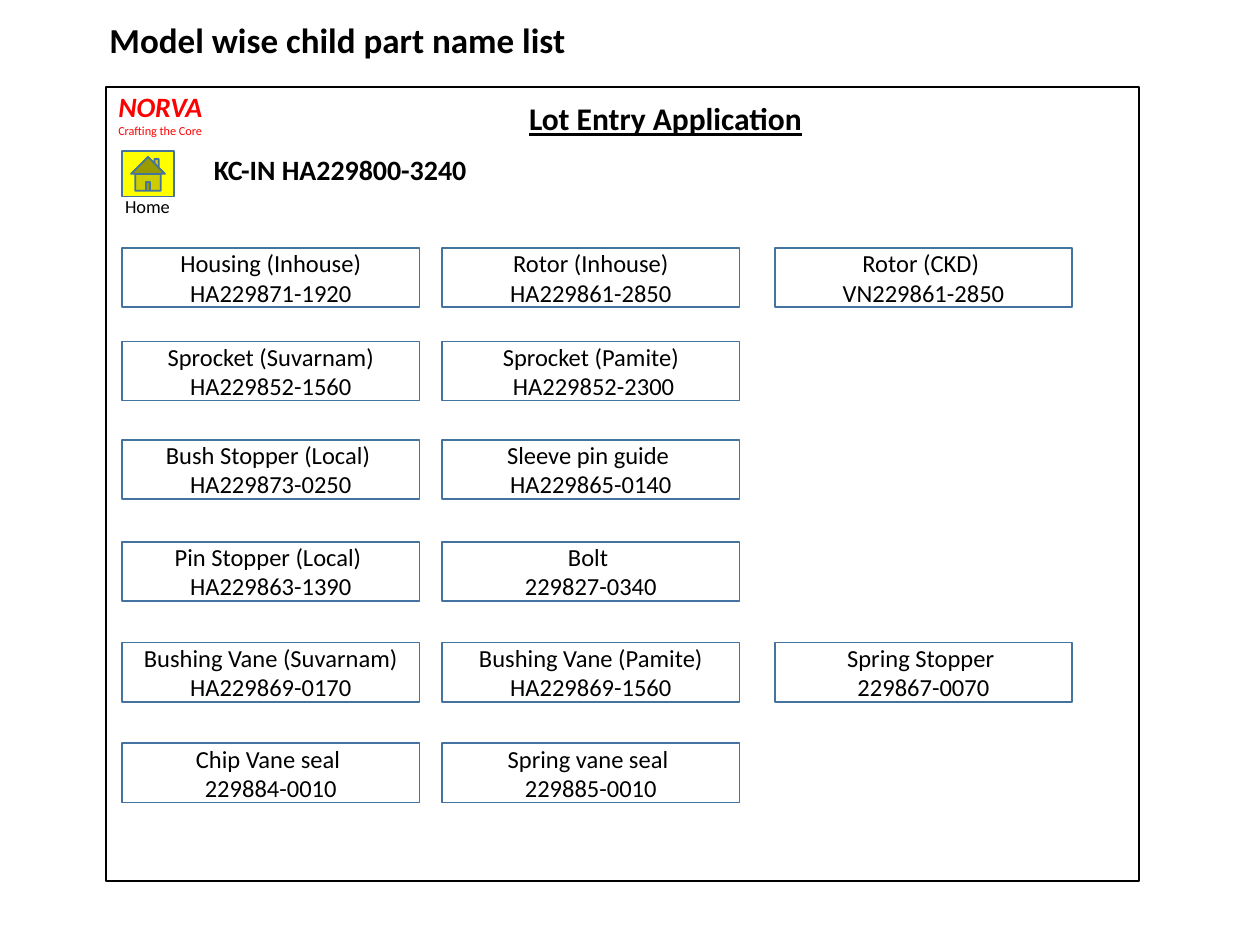
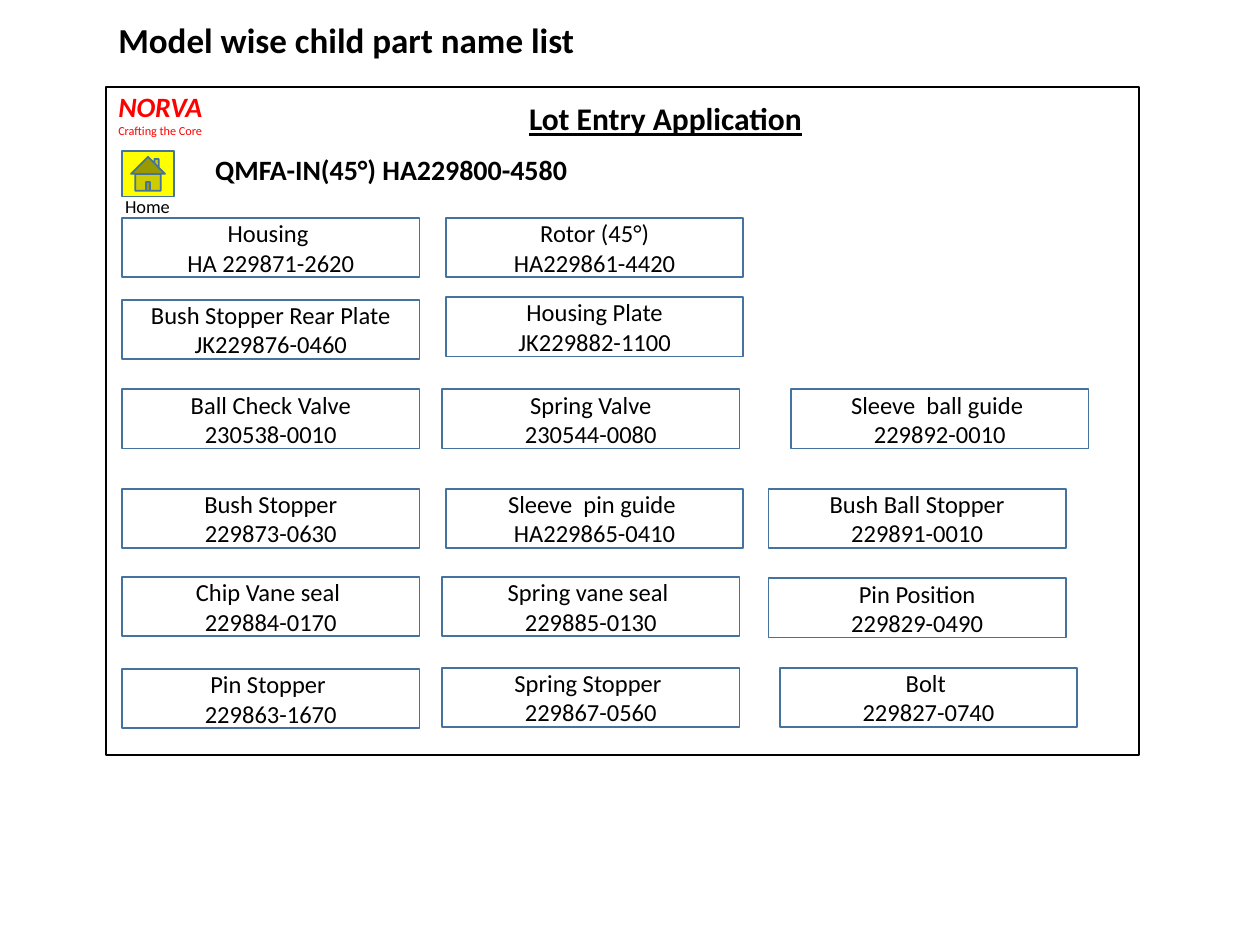
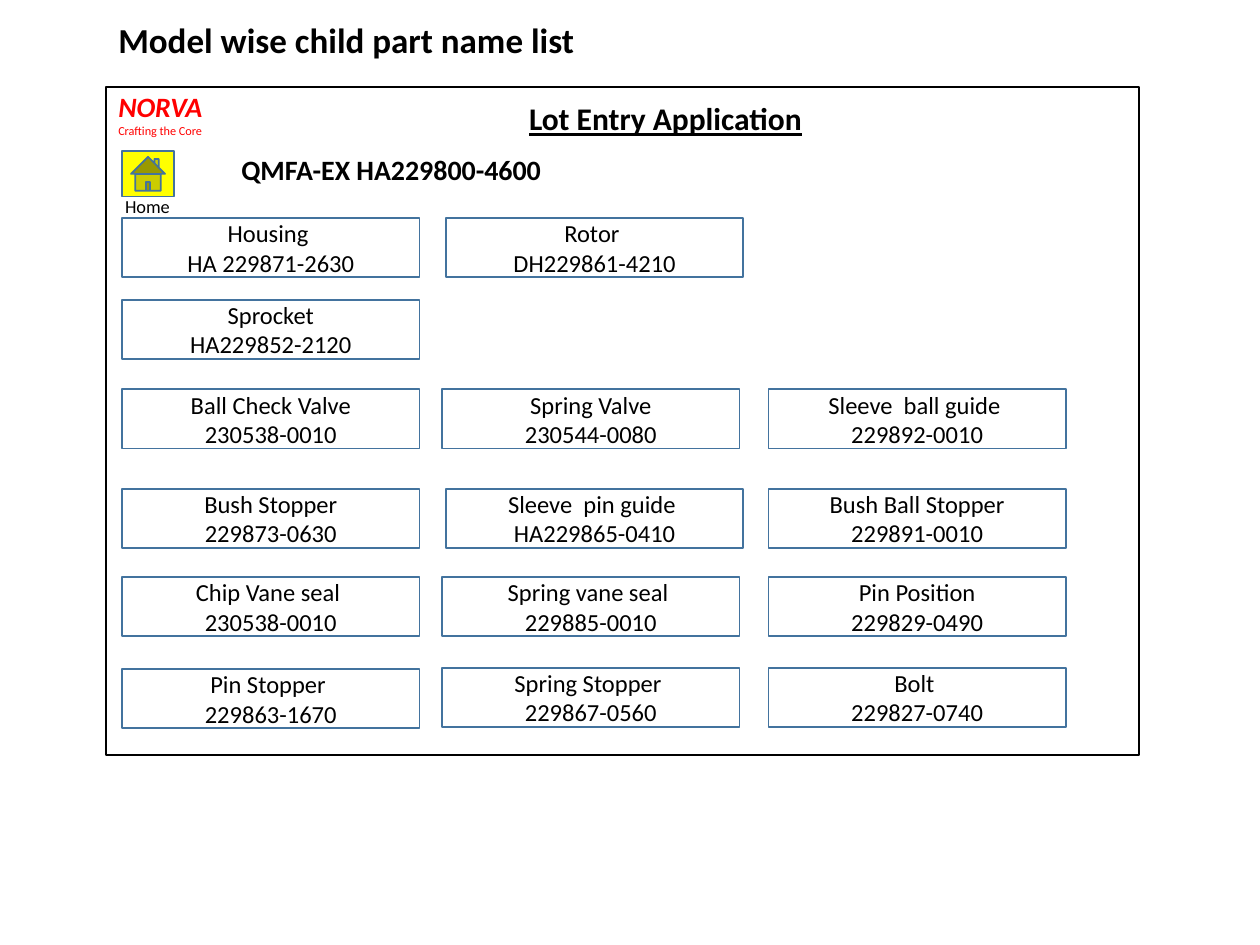
from dataclasses import dataclass

from pptx import Presentation, util as u
from pptx.dml.color import RGBColor
from pptx.enum import shapes, text


@dataclass(frozen=True)
class Theme:
    font: str = "Calibri"
    ink: str = "000000"
    paper: str = "FFFFFF"
    brand: str = "FF0000"
    button: str = "FFFF00"
    outline: str = "43739E"
    heading_size: float = 20
    app_size: float = 18
    model_size: float = 16
    child_size: float = 14
    home_size: float = 10.5
    tagline_size: float = 7
    line_width: float = 1


THEME = Theme()
HEADING = "Model wise child part name list"
APP = "Lot Entry Application"
BRAND = ("NORVA", "Crafting the Core")
CHILD_BOX = (2.36, 0.47)

AIRY = {"columns": (0.97, 3.51, 6.15), "rows": (1.97, 2.71, 3.49, 4.3, 5.1, 5.9),
        "frame_height": 6.3, "heading_left": 0.77}
COMPACT = {"columns": (0.97, 3.51, 6.1), "rows": (1.73, 2.38, 3.09, 3.88, 4.58, 5.3),
           "frame_height": 5.3, "heading_left": 0.84}
COMPACT_SHIFTS = {(0, 1): (0.03, 0), (3, 1): (0.03, 0), (5, 0): (0, 0.01)}

MODELS = [
    {"name": "KC-IN HA229800-3240", "name_width": 2.48, "layout": AIRY, "shifts": {},
     "children": [
         [("Housing (Inhouse)", "HA229871-1920"), ("Rotor (Inhouse)", "HA229861-2850"),
          ("Rotor (CKD) ", "VN229861-2850")],
         [("Sprocket (Suvarnam)", "HA229852-1560"), ("Sprocket (Pamite)", " HA229852-2300")],
         [("Bush Stopper (Local) ", "HA229873-0250"), ("Sleeve pin guide ", "HA229865-0140")],
         [("Pin Stopper (Local) ", "HA229863-1390"), ("Bolt ", "229827-0340")],
         [("Bushing Vane (Suvarnam)", "HA229869-0170"), ("Bushing Vane (Pamite)", "HA229869-1560"),
          ("Spring Stopper ", "229867-0070")],
         [("Chip Vane seal ", "229884-0010"), ("Spring vane seal ", "229885-0010")],
     ]},
    {"name": "QMFA-IN(45°) HA229800-4580", "name_width": 3.29, "layout": COMPACT,
     "shifts": {**COMPACT_SHIFTS, (1, 1): (0.03, -0.02), (2, 2): (0.18, 0),
                (4, 2): (0, 0.01), (5, 2): (0.09, 0)},
     "children": [
         [("Housing ", "HA 229871-2620"), ("Rotor (45°)", "HA229861-4420")],
         [("Bush Stopper Rear Plate JK229876-0460",), ("Housing Plate", "JK229882-1100")],
         [("Ball Check Valve", "230538-0010"), ("Spring Valve", "230544-0080"),
          ("Sleeve  ball guide ", "229892-0010")],
         [("Bush Stopper", "229873-0630"), ("Sleeve  pin guide ", "HA229865-0410"),
          ("Bush Ball Stopper", "229891-0010")],
         [("Chip Vane seal ", "229884-0170"), ("Spring vane seal ", "229885-0130"),
          ("Pin Position", "229829-0490")],
         [("Pin Stopper ", "229863-1670"), ("Spring Stopper ", "229867-0560"),
          ("Bolt ", "229827-0740")],
     ]},
    {"name": "QMFA-EX HA229800-4600", "name_width": 3.29, "layout": COMPACT,
     "shifts": COMPACT_SHIFTS,
     "children": [
         [("Housing ", "HA 229871-2630"), ("Rotor ", "DH229861-4210")],
         [("Sprocket", "HA229852-2120")],
         [("Ball Check Valve", "230538-0010"), ("Spring Valve", "230544-0080"),
          ("Sleeve  ball guide ", "229892-0010")],
         [("Bush Stopper", "229873-0630"), ("Sleeve  pin guide ", "HA229865-0410"),
          ("Bush Ball Stopper", "229891-0010")],
         [("Chip Vane seal ", "230538-0010"), ("Spring vane seal ", "229885-0010"),
          ("Pin Position", "229829-0490")],
         [("Pin Stopper ", "229863-1670"), ("Spring Stopper ", "229867-0560"),
          ("Bolt ", "229827-0740")],
     ]},
]


def inches(box):
    return [u.Inches(length) for length in box]


def style(paragraph, size, color=THEME.ink, centered=False, bold=False, italic=False,
          underline=False):
    paragraph.alignment = text.PP_ALIGN.CENTER if centered else text.PP_ALIGN.LEFT
    for run in paragraph.runs:
        font = run.font
        font.name, font.size = THEME.font, u.Pt(size)
        font.bold, font.italic, font.underline = bold, italic, underline
        font.color.rgb = RGBColor.from_string(color)


def add_label(parent, box, lines, styles, wrap=False):
    frame = parent.add_textbox(*inches(box)).text_frame
    frame.word_wrap = wrap
    frame.auto_size = text.MSO_AUTO_SIZE.SHAPE_TO_FIT_TEXT
    frame.text = "\n".join(lines)
    for paragraph, look in zip(frame.paragraphs, styles):
        style(paragraph, **look)


def add_panel(parent, box, fill=None, outline=THEME.outline,
              preset=shapes.MSO_SHAPE.RECTANGLE):
    panel = parent.add_shape(preset, *inches(box))
    panel.shadow.inherit = False
    if fill:
        panel.fill.solid()
        panel.fill.fore_color.rgb = RGBColor.from_string(fill)
    else:
        panel.fill.background()
    panel.line.color.rgb = RGBColor.from_string(outline)
    panel.line.width = u.Pt(THEME.line_width)
    return panel


def add_child(parent, left, top, lines):
    frame = add_panel(parent, (left, top, *CHILD_BOX), THEME.paper).text_frame
    frame.word_wrap = True
    frame.vertical_anchor = text.MSO_ANCHOR.MIDDLE
    frame.text = "\n".join(lines)
    for paragraph in frame.paragraphs:
        style(paragraph, THEME.child_size, centered=True)


def add_screen(parent, model):
    layout = model["layout"]
    add_panel(parent, (0.84, 0.69, 8.2, layout["frame_height"]), outline=THEME.ink)
    add_label(parent, (0.84, 0.66, 0.89, 0.49), BRAND,
              [dict(size=THEME.model_size, color=THEME.brand, bold=True, italic=True),
               dict(size=THEME.tagline_size, color=THEME.brand)])
    add_label(parent, (1.46, 1.16, model["name_width"], 0.37), [model["name"]],
              [dict(size=THEME.model_size, bold=True, centered=True)], wrap=True)
    add_label(parent, (4.1, 0.74, 2.39, 0.4), [APP],
              [dict(size=THEME.app_size, bold=True, underline=True)])
    add_label(parent, (layout["heading_left"], 0.1, 3.85, 0.44), [HEADING],
              [dict(size=THEME.heading_size, bold=True)])
    home = parent.add_group_shape().shapes
    add_panel(home, (0.97, 1.2, 0.41, 0.36), THEME.button,
              preset=shapes.MSO_SHAPE.ACTION_BUTTON_HOME)
    add_label(home, (0.84, 1.5, 0.66, 0.29), ["Home"],
              [dict(size=THEME.home_size, centered=True)], wrap=True)


def add_children(parent, model):
    layout = model["layout"]
    for row, (top, children) in enumerate(zip(layout["rows"], model["children"])):
        for column, (left, lines) in enumerate(zip(layout["columns"], children)):
            across, down = model["shifts"].get((row, column), (0, 0))
            add_child(parent, left + across, top + down, lines)


def main():
    deck = Presentation()
    deck.slide_width, deck.slide_height = inches((10, 7.5))
    for model in MODELS:
        slide = deck.slides.add_slide(deck.slide_layouts[6])
        add_screen(slide.shapes, model)
        add_children(slide.shapes, model)
    deck.save("out.pptx")


if __name__ == "__main__":
    main()
